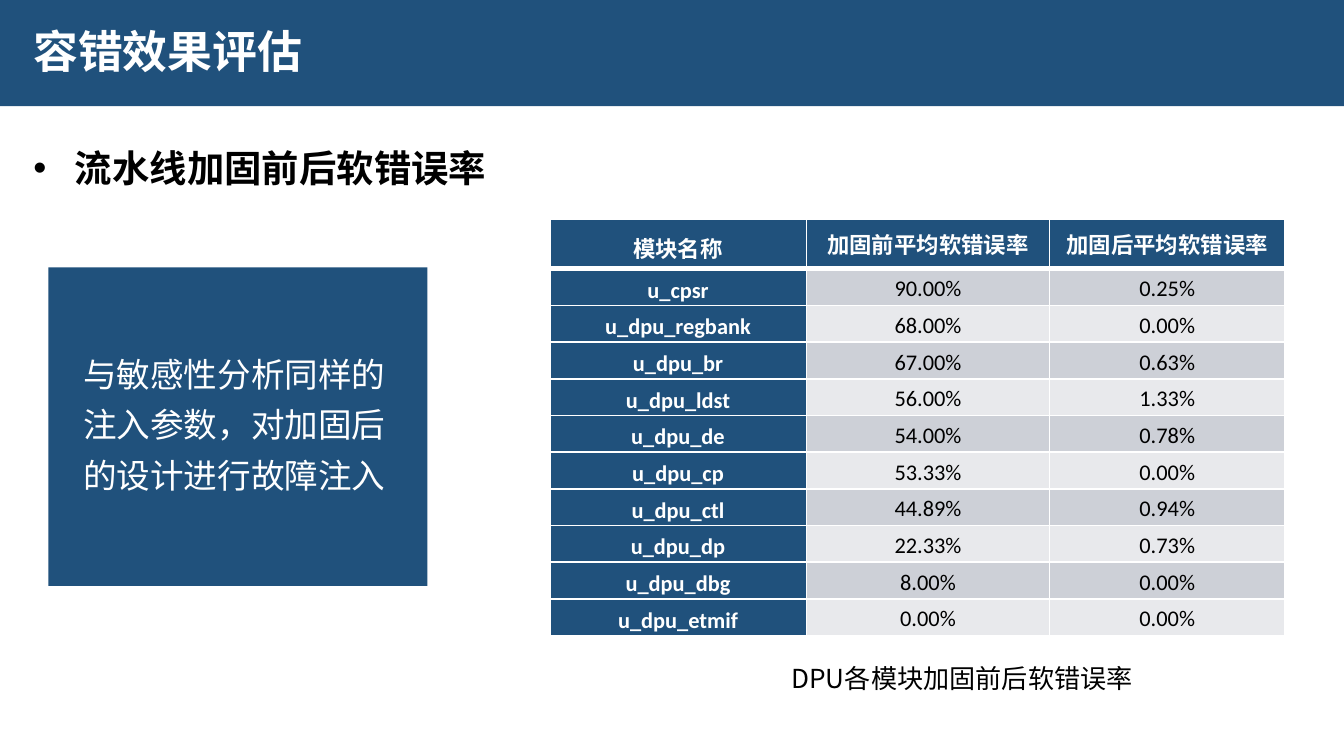
from dataclasses import dataclass

import lxml.etree
import pptx
import pptx.dml.color
import pptx.enum.shapes
import pptx.enum.text
import pptx.oxml.ns
import pptx.util

Inches = pptx.util.Inches
Align = pptx.enum.text.PP_ALIGN
Anchor = pptx.enum.text.MSO_ANCHOR
qn = pptx.oxml.ns.qn

COLORS = {
    "navy": "20517C",
    "white": "FFFFFF",
    "black": "000000",
    "band_dark": "CDD0D7",
    "band_light": "E8E9EC",
}
SLIDE_WIDTH = 10
SLIDE_HEIGHT = SLIDE_WIDTH * 9 / 16
CJK_FONT = "Noto Sans CJK SC"
TABLE_FONT = "Calibri"
LINE_SPACING = 1.25


@dataclass
class Box:
    left: float
    top: float
    width: float
    height: float

    def lengths(self) -> list:
        return [Inches(n) for n in (self.left, self.top, self.width, self.height)]


@dataclass
class Style:
    size: float
    color: str
    bold: bool = False
    font: str = CJK_FONT
    align: Align = Align.LEFT
    spacing: float = 1.0


@dataclass
class Label:
    text: str
    box: Box
    style: Style
    bullet: bool = False


@dataclass
class ErrorRate:
    module: str
    before: float
    after: float


BARS = [Box(0, 0, SLIDE_WIDTH, 0.79), Box(0.36, 1.99, 2.82, 2.37)]
LABELS = [
    Label("容错效果评估", Box(0.15, 0.13, 4.62, 0.5), Style(24, "white", True)),
    Label("流水线加固前后软错误率", Box(0.15, 0.95, 4.14, 0.49),
          Style(20, "black", True, spacing=LINE_SPACING), bullet=True),
    Label("与敏感性分析同样的注入参数，对加固后的设计进行故障注入",
          Box(0.52, 2.51, 2.54, 1.21), Style(18, "white", spacing=LINE_SPACING)),
    Label("DPU各模块加固前后软错误率", Box(5.73, 4.88, 2.86, 0.34),
          Style(14, "black", align=Align.CENTER)),
]
TABLE_BOX = Box(4.09, 1.63, 5.47, 3.1)
COLUMN_WIDTHS = [1.91, 1.81, 1.75]
HEADER_HEIGHT = 0.37
HEADERS = ["模块名称", "加固前平均软错误率", "加固后平均软错误率"]
RATES = [
    ErrorRate("u_cpsr", 90, 0.25),
    ErrorRate("u_dpu_regbank", 68, 0),
    ErrorRate("u_dpu_br", 67, 0.63),
    ErrorRate("u_dpu_ldst", 56, 1.33),
    ErrorRate("u_dpu_de", 54, 0.78),
    ErrorRate("u_dpu_cp", 53.33, 0),
    ErrorRate("u_dpu_ctl", 44.89, 0.94),
    ErrorRate("u_dpu_dp", 22.33, 0.73),
    ErrorRate("u_dpu_dbg", 8, 0),
    ErrorRate("u_dpu_etmif", 0, 0),
]


def rgb(name: str) -> pptx.dml.color.RGBColor:
    return pptx.dml.color.RGBColor.from_string(COLORS[name])


def write(paragraph, text: str, style: Style) -> None:
    paragraph.alignment = style.align
    paragraph.line_spacing = style.spacing
    run = paragraph.add_run()
    run.text = text
    run.font.size = pptx.util.Pt(style.size)
    run.font.bold = style.bold
    run.font.color.rgb = rgb(style.color)
    run.font.name = style.font
    # Chinese glyphs take the East Asian font
    properties = run.font._element
    lxml.etree.SubElement(properties, qn("a:ea"), typeface=CJK_FONT)


def add_bar(slide, box: Box) -> None:
    shape = slide.shapes.add_shape(
        pptx.enum.shapes.MSO_SHAPE.RECTANGLE, *box.lengths())
    shape.shadow.inherit = False
    shape.fill.solid()
    shape.fill.fore_color.rgb = rgb("navy")
    shape.line.fill.background()


def add_label(slide, label: Label) -> None:
    frame = slide.shapes.add_textbox(*label.box.lengths()).text_frame
    frame.word_wrap = True
    frame.auto_size = pptx.enum.text.MSO_AUTO_SIZE.SHAPE_TO_FIT_TEXT
    paragraph = frame.paragraphs[0]
    write(paragraph, label.text, label.style)
    if label.bullet:
        properties = paragraph._p.get_or_add_pPr()
        properties.set("marL", str(Inches(0.31)))
        properties.set("indent", str(Inches(-0.31)))
        lxml.etree.SubElement(properties, qn("a:buFont"), typeface="Arial")
        lxml.etree.SubElement(properties, qn("a:buChar"), char="•")


def set_borders(cell, top: float, bottom: float) -> None:
    """Draw white borders, widths in points; they come before the fill."""
    properties = cell._tc.get_or_add_tcPr()
    widths = {"a:lnL": 1, "a:lnR": 1, "a:lnT": top, "a:lnB": bottom}
    for index, (tag, width) in enumerate(widths.items()):
        line = lxml.etree.Element(qn(tag), w=str(pptx.util.Pt(width)))
        fill = lxml.etree.SubElement(line, qn("a:solidFill"))
        lxml.etree.SubElement(fill, qn("a:srgbClr"), val=COLORS["white"])
        properties.insert(index, line)


def fill_cell(cell, text: str, row: int, column: int) -> None:
    is_heading = row == 0 or column == 0
    band = "band_dark" if row % 2 else "band_light"
    cell.margin_left = cell.margin_right = Inches(0.07)
    cell.margin_top = cell.margin_bottom = 0
    cell.vertical_anchor = Anchor.MIDDLE if column == 0 else Anchor.TOP
    cell.fill.solid()
    cell.fill.fore_color.rgb = rgb("navy" if is_heading else band)
    set_borders(cell, top=3 if row == 1 else 1, bottom=3 if row == 0 else 1)
    style = Style(12, "white" if is_heading else "black", is_heading,
                  TABLE_FONT, Align.CENTER, LINE_SPACING)
    write(cell.text_frame.paragraphs[0], text, style)


def add_rate_table(slide) -> None:
    rows = [HEADERS] + [
        [rate.module, f"{rate.before:.2f}%", f"{rate.after:.2f}%"] for rate in RATES]
    table = slide.shapes.add_table(
        len(rows), len(HEADERS), *TABLE_BOX.lengths()).table
    for column, width in zip(table.columns, COLUMN_WIDTHS):
        column.width = Inches(width)
    body_height = (TABLE_BOX.height - HEADER_HEIGHT) / len(RATES)
    for row_index, texts in enumerate(rows):
        table.rows[row_index].height = Inches(body_height if row_index else HEADER_HEIGHT)
        for column_index, text in enumerate(texts):
            fill_cell(table.cell(row_index, column_index), text, row_index, column_index)


def main() -> None:
    presentation = pptx.Presentation()
    presentation.slide_width = Inches(SLIDE_WIDTH)
    presentation.slide_height = Inches(SLIDE_HEIGHT)
    slide = presentation.slides.add_slide(presentation.slide_layouts[6])

    # Title band and side panel, then the text over them
    for box in BARS:
        add_bar(slide, box)
    for label in LABELS:
        add_label(slide, label)

    # Error rates before and after hardening
    add_rate_table(slide)
    presentation.save("out.pptx")


if __name__ == "__main__":
    main()
